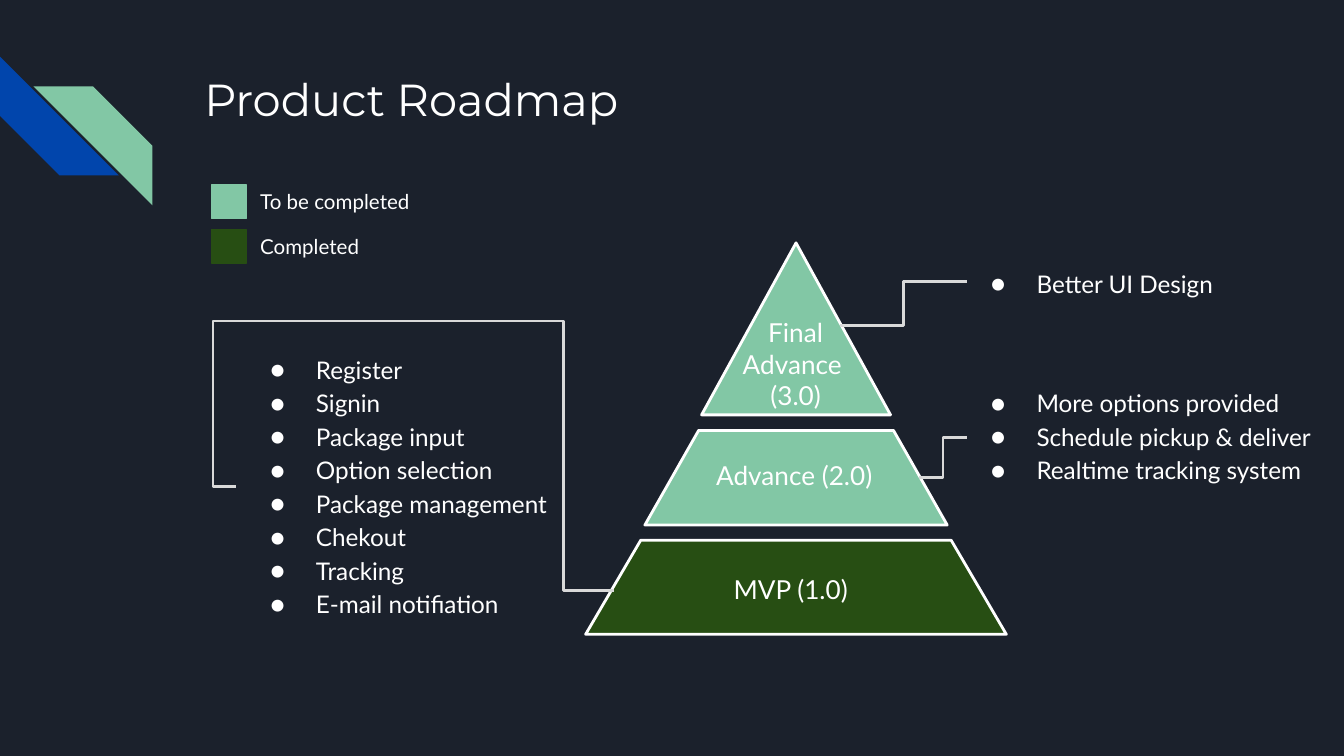
import pptx
import pptx.dml.color
import pptx.enum.shapes
import pptx.enum.text
import pptx.oxml
import pptx.oxml.ns
import pptx.util
from lxml import etree

THEME = {
    "background": "1B212C", "text": "FFFFFF", "open": "82C7A5", "done": "274E13",
    "accent": "0145AC", "connector": "D9D9D9",
    "heading font": "Montserrat", "body font": "Lato",
    "title": 24, "label": 14, "list": 13, "legend": 11,
}
SHAPE = pptx.enum.shapes.MSO_SHAPE
ALIGN = pptx.enum.text.PP_ALIGN
rgb = pptx.dml.color.RGBColor.from_string
qn = pptx.oxml.ns.qn

deck = pptx.Presentation()
deck.slide_width = pptx.util.Inches(10)
deck.slide_height = deck.slide_width * 9 // 16
CELL = deck.slide_width / 100  # the slide is a square grid, 100 columns wide


def grid(*values):
    return [round(value * CELL) for value in values]


def write(box, lines, size, font="body font", align=ALIGN.LEFT, bullets=False):
    frame = box.text_frame
    settings = {"word_wrap": True, "auto_size": pptx.enum.text.MSO_AUTO_SIZE.NONE,
                "vertical_anchor": pptx.enum.text.MSO_ANCHOR.TOP}
    settings.update({f"margin_{side}": grid(1)[0]
                     for side in ("left", "right", "top", "bottom")})
    for name, value in settings.items():
        setattr(frame, name, value)
    for number, line in enumerate(lines):
        para = frame.add_paragraph() if number else frame.paragraphs[0]
        para.alignment = align
        if bullets:
            props = para._p.get_or_add_pPr()
            props.set("marL", str(grid(5)[0]))
            props.set("indent", str(grid(-3.4)[0]))
            color = etree.SubElement(props, qn("a:buClr"))
            etree.SubElement(color, qn("a:srgbClr"), val=THEME["text"])
            etree.SubElement(props, qn("a:buFont"), typeface=THEME[font])
            etree.SubElement(props, qn("a:buChar"), char="●")
            para.line_spacing = 1.15
        span = para.add_run()
        span.text = line
        for name, value in {"name": THEME[font], "size": pptx.util.Pt(THEME[size]),
                            "bold": False}.items():
            setattr(span.font, name, value)
        span.font.color.rgb = rgb(THEME["text"])


# Page and title
page = deck.slides.add_slide(deck.slide_layouts[5])
page.background.fill.solid()
page.background.fill.fore_color.rgb = rgb(THEME["background"])
title = page.shapes.title
title.left, title.top, title.width, title.height = grid(14.2, 4.33, 77, 10)
write(title, ["Product Roadmap"], "title", "heading font")

# Corner stripes
for left, top, color, turn, mirrored in ((0, 4.2, "accent", 270, False),
                                         (2.5, 6.43, "open", 0, True)):
    stripe = page.shapes.add_shape(SHAPE.DIAGONAL_STRIPE, *grid(left, top, 8.85, 8.85))
    stripe.shadow.inherit = False
    stripe.fill.solid()
    stripe.fill.fore_color.rgb = rgb(THEME[color])
    stripe.line.fill.background()
    stripe.rotation = turn
    if mirrored:
        stripe._element.spPr.find(qn("a:xfrm")).set("flipH", "1")

# Feature lists
for area, lines in (
    ((17.53, 25.1, 25.6, 22.1),
     ["Register", "Signin", "Package input", "Option selection",
      "Package management", "Chekout", "Tracking", "E-mail notifiation"]),
    ((71.15, 27.57, 29.3, 10),
     ["More options provided", "Schedule pickup & deliver", "Realtime tracking system"]),
    ((71.15, 18.7, 27.9, 4.4), ["Better UI Design"]),
):
    write(page.shapes.add_textbox(*grid(*area)), lines, "list", bullets=True)

# Pyramid tiers: top, bottom, half widths there, colour, label, its area and alignment
AXIS = 59.23
for top, bottom, upper, lower, color, lines, area, align in (
    (32.03, 39.07, 7.25, 11.25, "open", ["Advance (2.0)"],
     (52.3, 33.2, 13.8, 4.4), ALIGN.LEFT),
    (18.07, 30.87, 0, 7.03, "open", ["Final Advance ", "(3.0)"],
     (52.3, 22.55, 13.8, 9.1), ALIGN.CENTER),
    (40.2, 47.2, 11.55, 15.65, "done", ["MVP (1.0)"],
     (53.6, 41.65, 11.2, 4.4), ALIGN.LEFT),
):
    corners = [grid(AXIS + upper, top), grid(AXIS + lower, bottom),
               grid(AXIS - lower, bottom)]
    if upper:
        corners.append(grid(AXIS - upper, top))
    outline = page.shapes.build_freeform(*corners[0])
    outline.add_line_segments(corners[1:], close=True)
    tier = outline.convert_to_shape()
    tier.shadow.inherit = False
    tier.fill.solid()
    tier.fill.fore_color.rgb = rgb(THEME[color])
    tier.line.color.rgb = rgb(THEME["text"])
    tier.line.width = pptx.util.Pt(1.5)
    write(page.shapes.add_textbox(*grid(*area)), lines, "label", align=align)

# Elbow connectors from lists to tiers, with their bends in 1/100000 of the span
for ends, preset, bends in (
    ((71.95, 20.93, 62.5, 24.2), "bentConnector3", (50000,)),
    ((71.95, 32.53, 68.4, 35.53), "bentConnector3", (50000,)),
    ((17.53, 36.17, 45.7, 43.93), "bentConnector5", (-6000, -158400, 86500)),
):
    elbow = page.shapes.add_connector(pptx.enum.shapes.MSO_CONNECTOR.ELBOW, *grid(*ends))
    elbow.line.color.rgb = rgb(THEME["connector"])
    elbow.line.width = pptx.util.Pt(1.5)
    props = elbow._element.spPr
    etree.SubElement(props, qn("a:effectLst"))
    geometry = props.find(qn("a:prstGeom"))
    geometry.set("prst", preset)
    guides = geometry.find(qn("a:avLst"))
    if guides is None:
        guides = etree.SubElement(geometry, qn("a:avLst"))
    for number, bend in enumerate(bends, 1):
        etree.SubElement(guides, qn("a:gd"), name=f"adj{number}", fmla=f"val {bend}")

# Legend
for row, (color, caption, width) in enumerate((("open", "To be completed", 13.8),
                                               ("done", "Completed", 11.7))):
    top = 13.75 + 3.33 * row
    swatch = page.shapes.add_shape(SHAPE.RECTANGLE, *grid(15.73, top, 2.6, 2.5))
    swatch.shadow.inherit = False
    swatch.fill.solid()
    swatch.fill.fore_color.rgb = rgb(THEME[color])
    swatch.line.color.rgb = rgb(THEME[color])
    swatch.line.width = pptx.util.Pt(0.75)
    write(page.shapes.add_textbox(*grid(18.37, top - 0.7, width, 3.9)), [caption], "legend")

deck.save("out.pptx")
